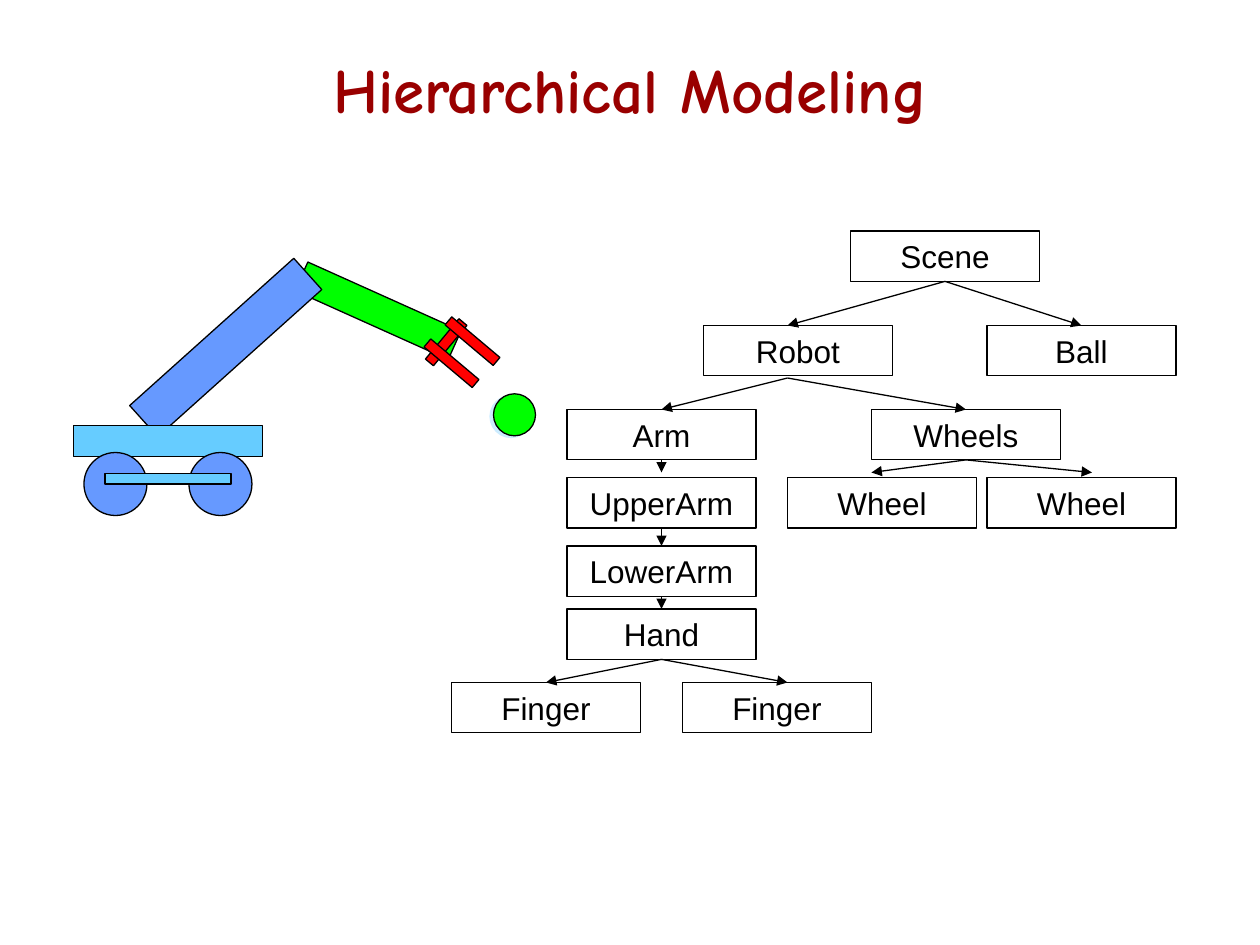
from lxml import etree
from pptx import Presentation, util as u
from pptx.dml.color import RGBColor
from pptx.enum import shapes, text
from pptx.oxml.ns import qn

BLACK = RGBColor(0x00, 0x00, 0x00)
DARK_RED = RGBColor(0x99, 0x00, 0x00)
GREEN = RGBColor(0x00, 0xFF, 0x00)
BLUE = RGBColor(0x66, 0x99, 0xFF)
SKY = RGBColor(0x66, 0xCC, 0xFF)
RED = RGBColor(0xFF, 0x00, 0x00)
PALE = RGBColor(0xCC, 0xEC, 0xFF)

RECT = shapes.MSO_SHAPE.RECTANGLE
OVAL = shapes.MSO_SHAPE.OVAL
COLS, ROWS = 120, 90  # one cell is 1/12 inch
NODE_W, NODE_H = 18, 4.8


class Sketch:
    """Holds the style and the slide; lengths are in grid cells."""

    title_font = {"name": "Comic Neue", "size": u.Pt(36), "bold": True}
    node_font = {"name": "Arial", "size": u.Pt(18)}
    node_frame = {"word_wrap": True, "vertical_anchor": text.MSO_ANCHOR.TOP}
    title_frame = {"word_wrap": True, "vertical_anchor": text.MSO_ANCHOR.MIDDLE}
    line_width = u.Pt(0.75)

    def __init__(self, prs):
        self.s = prs.slides.add_slide(prs.slide_layouts[6])
        self.dx, self.dy = prs.slide_width / COLS, prs.slide_height / ROWS

    def place(self, *cells):
        return [round(c * d) for c, d in zip(cells, (self.dx, self.dy) * 2)]

    def label(self, sp, words, frame, font, color, before=0):
        tf = sp.text_frame
        for key, value in frame.items():
            setattr(tf, key, value)
        p = tf.paragraphs[0]
        p.alignment, p.space_before = text.PP_ALIGN.CENTER, u.Pt(before)
        r = p.add_run()
        r.text = words
        for key, value in font.items():
            setattr(r.font, key, value)
        r.font.color.rgb = color

    def title(self, words, *cells):
        sp = self.s.shapes.add_textbox(*self.place(*cells))
        self.label(sp, words, self.title_frame, self.title_font, DARK_RED)

    def shape(self, kind, cells, fill=None, turn=0, parent=None):
        sp = (parent or self.s).shapes.add_shape(kind, *self.place(*cells))
        sp.shadow.inherit = False
        sp.rotation = turn
        if fill is None:
            sp.fill.background()
        else:
            sp.fill.solid()
            sp.fill.fore_color.rgb = fill
        sp.line.color.rgb, sp.line.width = BLACK, self.line_width
        return sp

    def cast_shadow(self, sp, color, distance, angle):
        effects = sp._element.spPr.find(qn("a:effectLst"))
        shadow = etree.SubElement(effects, qn("a:outerShdw"), blurRad="0",
                                  dist=str(u.Pt(distance)), dir=str(angle * 60000),
                                  algn="ctr", rotWithShape="0")
        etree.SubElement(shadow, qn("a:srgbClr"), val=str(color))

    def node(self, words, col, row):
        sp = self.shape(RECT, (col, row, NODE_W, NODE_H))
        self.label(sp, words, self.node_frame, self.node_font, BLACK, 11.2)
        return sp

    def arrow(self, start, end, shift_start, shift_end):
        """Runs from bottom to top of two nodes; an end without shift is joined."""
        ax, ay = self.place(*shift_start)
        bx, by = self.place(*shift_end)
        cn = self.s.shapes.add_connector(
            shapes.MSO_CONNECTOR.STRAIGHT,
            start.left + start.width // 2 + ax, start.top + start.height + ay,
            end.left + end.width // 2 + bx, end.top + by)
        if not any(shift_start):
            cn.begin_connect(start, 2)
        if not any(shift_end):
            cn.end_connect(end, 0)
        cn.line.color.rgb, cn.line.width = BLACK, self.line_width
        props = cn._element.spPr
        etree.SubElement(props.find(qn("a:ln")), qn("a:tailEnd"), type="triangle")
        etree.SubElement(props, qn("a:effectLst"))


# Robot parts from back to front: kind, cells, fill, rotation
ROBOT = [
    (RECT, (28, 28.1, 16, 3), GREEN, 24.2),    # lower arm
    (RECT, (11, 31.1, 21, 4), BLUE, 138.1),    # upper arm
    (RECT, (7, 40.5, 18, 3), SKY, 0),          # body
    (RECT, (42, 30.1, 1, 5), RED, 39.7),       # hand
    (RECT, (42, 32, 6, 1), RED, 40.1),         # fingers
    (RECT, (40, 34.1, 6, 1), RED, 40.1),
    (OVAL, (8, 43.1, 6, 6), BLUE, 0),          # wheels
    (OVAL, (18, 43.1, 6, 6), BLUE, 0),
    (RECT, (10, 45.1, 12, 1), SKY, 0),         # axle
]
BALL = (47, 37.5, 4, 4)

# Tree nodes: key, column, row; a digit in the key tells twins apart
NODES = [
    ("Scene", 81, 22), ("Robot", 67, 31), ("Ball", 94, 31),
    ("Wheels", 83, 39), ("Arm", 54, 39), ("UpperArm", 54, 45.5),
    ("LowerArm", 54, 52), ("Hand", 54, 58), ("Finger1", 43, 65),
    ("Finger2", 65, 65), ("Wheel1", 75, 45.5), ("Wheel2", 94, 45.5),
]

# Tree edges: parent, child, shift of start, shift of end
NONE = (0, 0)
EDGES = [
    ("Scene", "Robot", NONE, (-1, 0)),
    ("Scene", "Ball", NONE, NONE),
    ("Robot", "Arm", (-1, 0.2), NONE),
    ("Robot", "Wheels", (-1, 0.2), NONE),
    ("Arm", "UpperArm", NONE, (0, -0.5)),
    ("UpperArm", "LowerArm", NONE, NONE),
    ("LowerArm", "Hand", NONE, NONE),
    ("Hand", "Finger1", NONE, NONE),
    ("Hand", "Finger2", NONE, (1, 0)),
    ("Wheels", "Wheel1", NONE, (-1, -0.5)),
    ("Wheels", "Wheel2", NONE, (1, -0.5)),
]


def main():
    prs = Presentation()
    prs.slide_width, prs.slide_height = u.Inches(10), u.Inches(7.5)
    sketch = Sketch(prs)
    sketch.title("Hierarchical Modeling", 9, 3, 102, 10.8)

    # Robot and ball
    group = sketch.s.shapes.add_group_shape()
    for kind, cells, fill, turn in ROBOT:
        sketch.shape(kind, cells, fill, turn, group)
    ball = sketch.shape(OVAL, BALL, GREEN, parent=group)
    sketch.cast_shadow(ball, PALE, 2.2, 154)

    # Scene tree
    nodes = {key: sketch.node(key.rstrip("12"), col, row) for key, col, row in NODES}
    for parent, child, shift_start, shift_end in EDGES:
        sketch.arrow(nodes[parent], nodes[child], shift_start, shift_end)

    prs.save("out.pptx")


if __name__ == "__main__":
    main()
